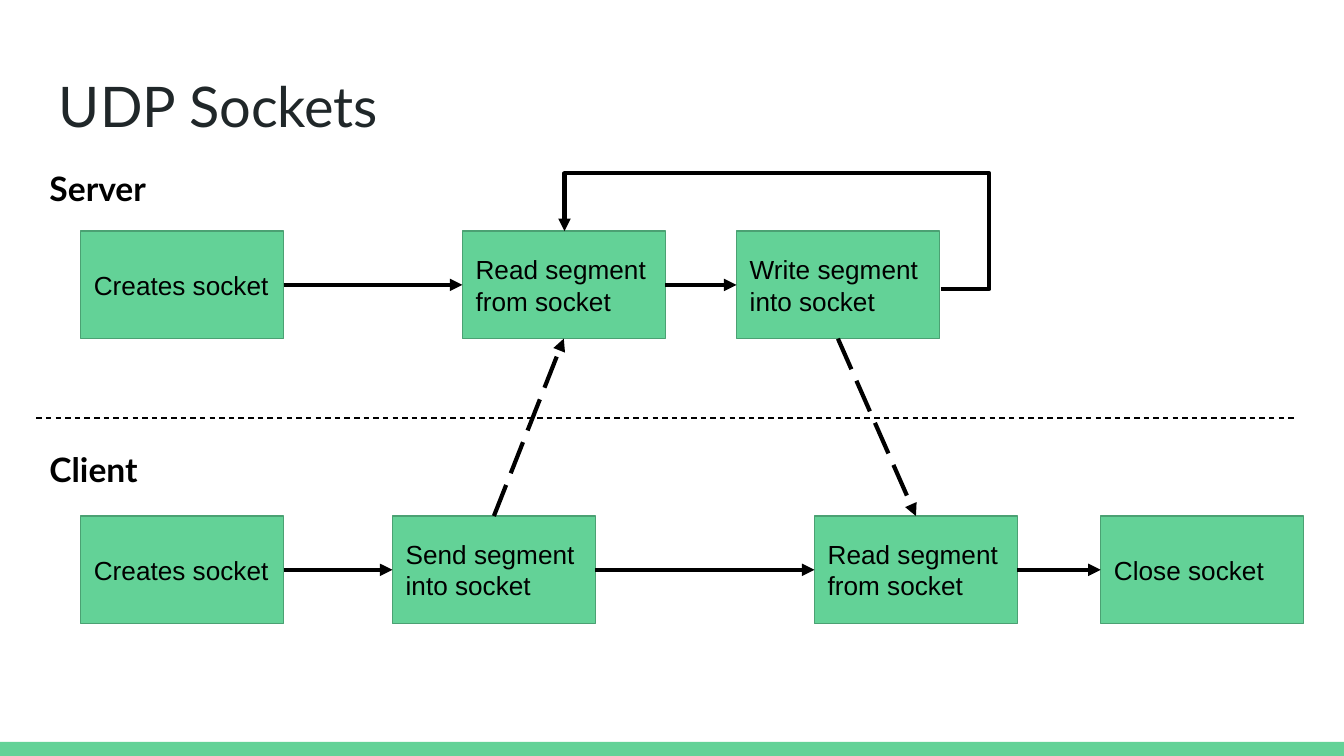
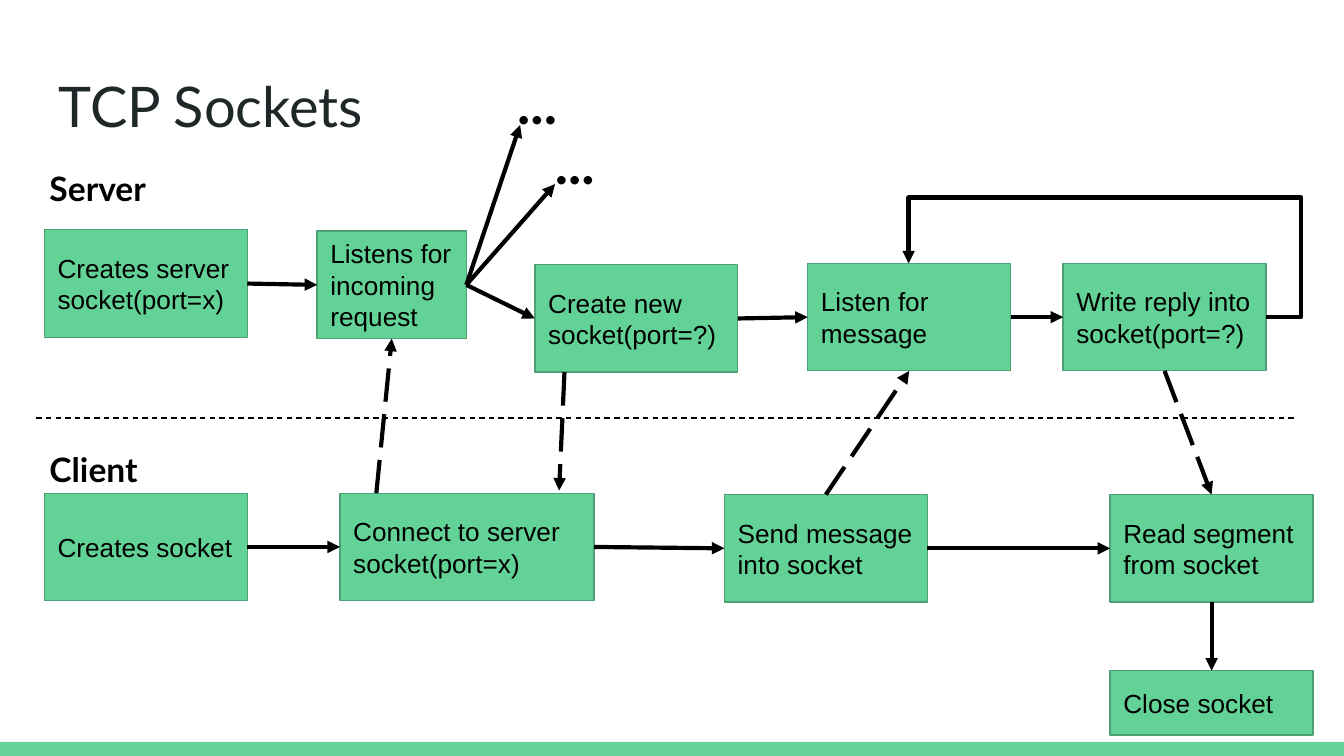
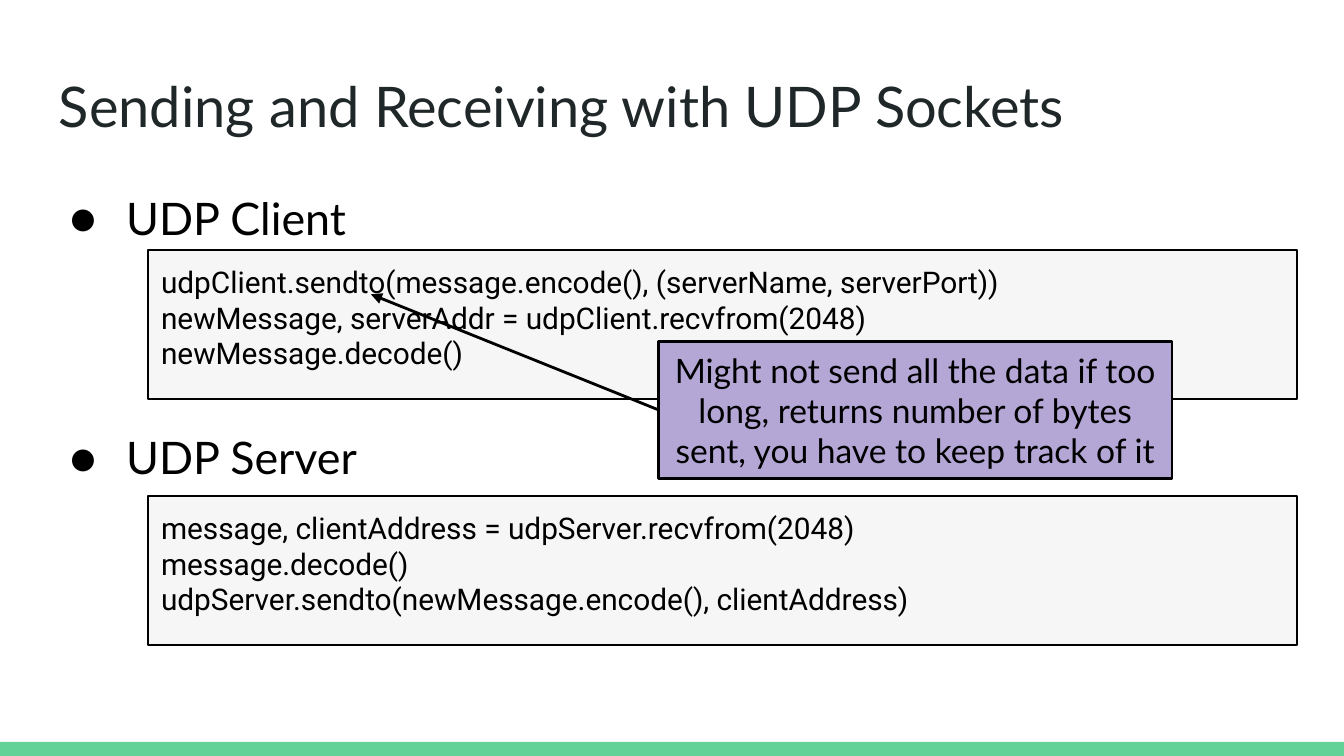
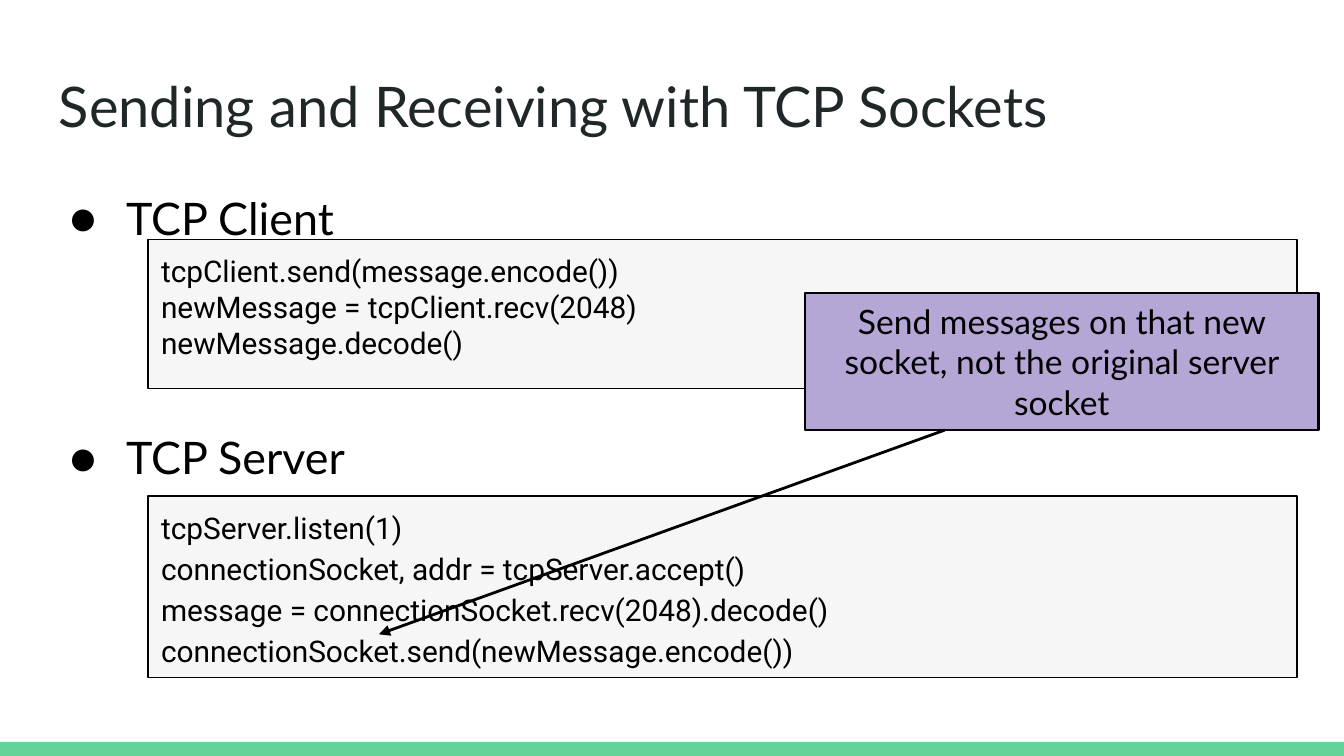
import dataclasses
import typing

import lxml.etree
import pptx
import pptx.dml.color
import pptx.enum.dml
import pptx.enum.shapes
import pptx.enum.text
import pptx.oxml.ns
import pptx.util

PX = 9144  # EMU in one px, 100 px to the inch
GREEN, EDGE, INK, BLACK = "63D297", "4BA173", "202729", "000000"
GRAY, LILAC = "F6F6F6", "B4A7D6"
WIDE, TALL = 151, 80  # usual step box
TOP, LEFT, BASE, RIGHT = range(4)
LONG = pptx.enum.dml.MSO_LINE.LONG_DASH
DASH = pptx.enum.dml.MSO_LINE.DASH
Point = tuple[int, int]


@dataclasses.dataclass
class Box:
    x: int
    y: int
    text: str
    w: int = WIDE
    h: int = TALL

    def side(self, site: int) -> Point:
        mid, half = self.x + self.w // 2, self.y + self.h // 2
        return [(mid, self.y), (self.x, half),
                (mid, self.y + self.h), (self.x + self.w, half)][site]


@dataclasses.dataclass
class Join:
    """Arrow between box sides, given as (name, side), or free points."""
    start: tuple
    end: tuple
    dash: typing.Any = None


@dataclasses.dataclass
class Code:
    y: int
    h: int
    lines: list[str]
    loose: float = 1.0  # line spacing after the first line


# Shared drawing tools
def color(code: str) -> pptx.dml.color.RGBColor:
    return pptx.dml.color.RGBColor.from_string(code)


def emu(*sizes: int) -> list[int]:
    return [size * PX for size in sizes]


def tag(root, kind: str, **attrs: str):
    node = lxml.etree.SubElement(root, pptx.oxml.ns.qn(kind))
    for key, val in attrs.items():
        node.set(key, val)
    return node


def write(shape, *lines: str, size: int, font: str = "Lato", ink: str = BLACK,
          bold: bool = False, middle: bool = False, center: bool = False,
          bullet: bool = False, gap: int = 0, lead: float = 1.0,
          loose: float = 1.0) -> None:
    frame = shape.text_frame
    frame.word_wrap = True
    frame.margin_left = frame.margin_right = 10 * PX
    frame.margin_top = frame.margin_bottom = 10 * PX
    anchor = pptx.enum.text.MSO_ANCHOR
    frame.vertical_anchor = anchor.MIDDLE if middle else anchor.TOP
    align = pptx.enum.text.PP_ALIGN
    for num, line in enumerate(lines):
        para = frame.add_paragraph() if num else frame.paragraphs[0]
        para.text = line
        para.alignment = align.CENTER if center else align.LEFT
        para.line_spacing = loose if num else lead
        if num and gap:
            para.space_before = pptx.util.Pt(gap)
        if bullet:
            props = para._p.get_or_add_pPr()
            props.set("marL", str(50 * PX))
            props.set("indent", str(-42 * PX))
            tag(tag(props, "a:buClr"), "a:srgbClr", val=BLACK)
            tag(props, "a:buFont", typeface=font)
            tag(props, "a:buChar", char="●")
        face = para.runs[0].font
        face.name, face.size, face.bold = font, pptx.util.Pt(size), bold
        face.color.rgb = color(ink)


def label(slide, x: int, y: int, w: int, h: int, *lines: str, **form) -> None:
    write(slide.shapes.add_textbox(*emu(x, y, w, h)), *lines, **form)


def panel(slide, x: int, y: int, w: int, h: int, fill: str,
          edge: str = "", thick: float = 0.75):
    rect = pptx.enum.shapes.MSO_SHAPE.RECTANGLE
    shape = slide.shapes.add_shape(rect, *emu(x, y, w, h))
    shape.shadow.inherit = False
    shape.fill.solid()
    shape.fill.fore_color.rgb = color(fill)
    if edge:
        shape.line.color.rgb = color(edge)
        shape.line.width = pptx.util.Pt(thick)
    else:
        shape.line.fill.background()
    return shape


def wire(slide, start: Point, end: Point, thick: float = 2.25,
         dash=None, arrow: bool = True, bent: bool = False):
    kinds = pptx.enum.shapes.MSO_CONNECTOR
    kind = kinds.ELBOW if bent else kinds.STRAIGHT
    link = slide.shapes.add_connector(kind, *emu(*start, *end))
    link.line.color.rgb = color(BLACK)
    link.line.width = pptx.util.Pt(thick)
    if dash:
        link.line.dash_style = dash
    if arrow:
        tag(link.line._get_or_add_ln(), "a:tailEnd", type="triangle")
    tag(link._element.spPr, "a:effectLst")
    return link


def loop(slide, start: Point, end: Point, out: int, high: int) -> None:
    """Arrow going right to x = out, up to y = high, and back down to end."""
    link = wire(slide, start, end, bent=True)
    props = link._element.spPr
    frame = props.find(pptx.oxml.ns.qn("a:xfrm"))
    for flip in ("flipH", "flipV"):
        frame.attrib.pop(flip, None)
    frame.set("rot", "10800000")
    shape = props.find(pptx.oxml.ns.qn("a:prstGeom"))
    shape.set("prst", "bentConnector4")
    for old in list(shape):
        shape.remove(old)
    ways = tag(shape, "a:avLst")
    turns = ((start[0] - out) / (start[0] - end[0]),
             (start[1] - high) / (start[1] - end[1]))
    for num, turn in enumerate(turns, 1):
        tag(ways, "a:gd", name=f"adj{num}", fmla=f"val {round(turn * 100000)}")


def base(deck, title: str):
    slide = deck.slides.add_slide(deck.slide_layouts[6])
    panel(slide, 0, 552, 1000, 11, GREEN)
    label(slide, 34, 43, 932, 68, title, size=30, ink=INK)
    return slide


# Slide kinds
def flow(deck, title: str, boxes: dict[str, Box], joins: list[Join]):
    slide = base(deck, title)
    wire(slide, (27, 311), (963, 311), 0.75, DASH, arrow=False)
    for name, y in (("Server", 115), ("Client", 324)):
        label(slide, 27, y, 127, 53, name, size=18, bold=True)
    drawn = {}
    for key, box in boxes.items():
        drawn[key] = panel(slide, box.x, box.y, box.w, box.h, GREEN, EDGE)
        write(drawn[key], box.text, size=14, font="Arial", middle=True)
    for join in joins:
        ends = [boxes[a].side(b) if a in boxes else (a, b)
                for a, b in (join.start, join.end)]
        link = wire(slide, *ends, dash=join.dash)
        for (key, site), hook in ((join.start, link.begin_connect),
                                  (join.end, link.end_connect)):
            if key in drawn:
                hook(drawn[key], site)
    return slide


def listing(deck, kind: str, codes: list[Code], note: Box,
            start: Point, end: Point, joined: bool) -> None:
    slide = base(deck, f"Sending and Receiving with {kind} Sockets")
    label(slide, 34, 126, 932, 374, f"{kind} Client", f"{kind} Server",
          size=24, bullet=True, gap=95, lead=1.15, loose=1.15)
    for code in codes:
        write(panel(slide, 110, code.y, 855, code.h, GRAY, BLACK),
              *code.lines, size=16, font="Roboto", loose=code.loose)
    card = panel(slide, note.x, note.y, note.w, note.h, LILAC, BLACK, 1.5)
    write(card, note.text, size=18, middle=True, center=True)
    link = wire(slide, start, end, 1.5)
    if joined:
        link.begin_connect(card, LEFT)


def main() -> None:
    deck = pptx.Presentation()
    deck.slide_width, deck.slide_height = 1000 * PX, pptx.util.Inches(5.625)

    # UDP flow
    up, low = 172, 384
    slide = flow(deck, "UDP Sockets", {
        "open": Box(60, up, "Creates socket"),
        "read": Box(344, up, "Read segment from socket"),
        "write": Box(548, up, "Write segment into socket"),
        "make": Box(60, low, "Creates socket"),
        "send": Box(292, low, "Send segment into socket"),
        "get": Box(606, low, "Read segment from socket"),
        "close": Box(819, low, "Close socket"),
    }, [
        Join(("open", RIGHT), ("read", LEFT)),
        Join(("read", RIGHT), ("write", LEFT)),
        Join(("make", RIGHT), ("send", LEFT)),
        Join(("send", RIGHT), ("get", LEFT)),
        Join(("get", RIGHT), ("close", LEFT)),
        Join(("send", TOP), ("read", BASE), LONG),
        Join(("write", BASE), ("get", TOP), LONG),
    ])
    loop(slide, (700, 215), (420, 172), 736, 129)

    # TCP flow
    slide = flow(deck, "TCP Sockets", {
        "open": Box(33, 171, "Creates server socket(port=x)"),
        "wait": Box(236, 172, "Listens for incoming request", w=111),
        "new": Box(398, 197, "Create new socket(port=?)"),
        "hear": Box(601, 196, "Listen for message"),
        "reply": Box(791, 196, "Write reply into socket(port=?)"),
        "make": Box(33, 367, "Creates socket"),
        "dial": Box(253, 367, "Connect to server socket(port=x)", w=189),
        "send": Box(539, 368, "Send message into socket"),
        "read": Box(826, 368, "Read segment from socket"),
        "close": Box(826, 499, "Close socket", h=48),
    }, [
        Join(("open", RIGHT), ("wait", LEFT)),
        Join(("wait", RIGHT), ("new", LEFT)),
        Join(("wait", RIGHT), (413, 137)),
        Join(("wait", RIGHT), (387, 93)),
        Join(("new", RIGHT), ("hear", LEFT)),
        Join(("hear", RIGHT), ("reply", LEFT)),
        Join(("make", RIGHT), ("dial", LEFT)),
        Join(("dial", RIGHT), ("send", LEFT)),
        Join(("send", RIGHT), ("read", LEFT)),
        Join(("read", BASE), ("close", TOP)),
        Join((280, 367), ("wait", BASE), LONG),
        Join((420, 277), (416, 365), LONG),
        Join(("send", TOP), ("hear", BASE), LONG),
        Join(("reply", BASE), ("read", TOP), LONG),
    ])
    for x, y in ((403, 86), (375, 41)):
        label(slide, x, y, 451, 53, "...", size=30, bold=True)
    loop(slide, (942, 236), (676, 196), 968, 147)

    # UDP code
    listing(deck, "UDP", [
        Code(186, 111, [
            "udpClient.sendto(message.encode(), (serverName, serverPort))",
            "newMessage, serverAddr = udpClient.recvfrom(2048)",
            "newMessage.decode()"]),
        Code(369, 111, [
            "message, clientAddress = udpServer.recvfrom(2048)",
            "message.decode()",
            "udpServer.sendto(newMessage.encode(), clientAddress)"]),
    ], Box(490, 254, "Might not send all the data if too long, returns number "
           "of bytes sent, you have to keep track of it", 382, 102),
        (490, 305), (276, 219), joined=True)

    # TCP code
    listing(deck, "TCP", [
        Code(178, 111, [
            "tcpClient.send(message.encode())",
            "newMessage = tcpClient.recv(2048)",
            "newMessage.decode()"]),
        Code(369, 135, [
            "tcpServer.listen(1)",
            "connectionSocket, addr = tcpServer.accept()",
            "message = connectionSocket.recv(2048).decode()",
            "connectionSocket.send(newMessage.encode())"], loose=1.15),
    ], Box(599, 218, "Send messages on that new socket, not the original "
           "server socket", 382, 102),
        (703, 320), (282, 472), joined=False)

    deck.save("out.pptx")


if __name__ == "__main__":
    main()
